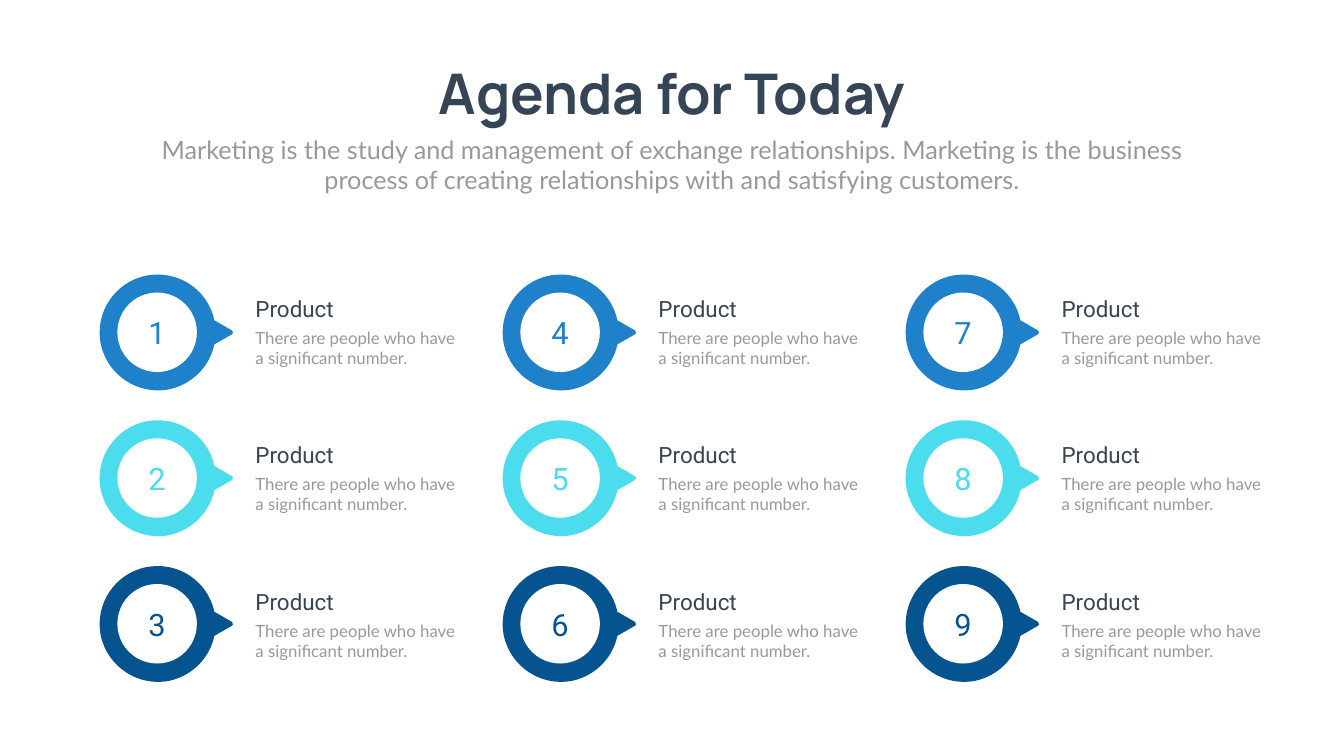
"""Builds the agenda slide: nine numbered pointer rings in a three by three grid."""
from lxml import etree
from pptx import Presentation
from pptx.dml.color import RGBColor
from pptx.enum.shapes import MSO_SHAPE
from pptx.enum.text import MSO_ANCHOR, MSO_AUTO_SIZE, PP_ALIGN
from pptx.oxml.ns import qn
from pptx.util import Pt

OVAL = MSO_SHAPE.OVAL
MIDDLE = MSO_ANCHOR.MIDDLE
GROW = MSO_AUTO_SIZE.SHAPE_TO_FIT_TEXT
LEFT, CENTER = PP_ALIGN.LEFT, PP_ALIGN.CENTER

WHITE = RGBColor(0xFF, 0xFF, 0xFF)
NAVY = RGBColor(0x36, 0x45, 0x56)
GRAY = RGBColor(0x99, 0x99, 0x99)
BLUE = RGBColor(0x1E, 0x81, 0xCA)
CYAN = RGBColor(0x4B, 0xDC, 0xED)
DEEP_BLUE = RGBColor(0x06, 0x54, 0x8F)
ROW_COLORS = (BLUE, CYAN, DEEP_BLUE)

COLUMN_STEP, ROW_STEP, TEXT_STEP = 575.6, 208.2, 209.5
RING_X, RING_Y, RING_WIDTH, RING_HEIGHT = 142.6, 392.6, 190, 165.6
DISC_X, DISC_Y, DISC_SIZE = 167.6, 417.9, 113.6
TEXT_X, HEADING_Y, DETAIL_Y = 357.8, 417.6, 464

RING_OUTLINE = [
    ("a:moveTo", [(188.6, 79.4)]),
    ("a:lnTo", [(163.5, 65)]),
    ("a:cubicBezTo", [(154.1, 20.2), (110.2, -7.9), (65.5, 1.4)]),
    ("a:cubicBezTo", [(20.9, 10.8), (-7.9, 54.7), (1.4, 99.4)]),
    ("a:cubicBezTo", [(11.2, 144), (55.4, 172.8), (100, 163.4)]),
    ("a:cubicBezTo", [(131.8, 156.2), (157, 131), (163.5, 99.4)]),
    ("a:lnTo", [(188.6, 85)]),
    ("a:cubicBezTo", [(190, 84.2), (190.4, 82.1), (189.4, 80.6)]),
    ("a:cubicBezTo", [(189.2, 80.2), (188.9, 79.7), (188.6, 79.4)]),
    ("a:close", []),
]


def style_text(shape, text, font_name, size, color, align=LEFT):
    shape.text_frame.text = text
    para = shape.text_frame.paragraphs[0]
    para.alignment = align
    font = para.runs[0].font
    font.name = font_name
    font.size = Pt(size)
    font.color.rgb = color
    return font


def add_text(left, top, width, height, *style):
    box = slide.shapes.add_textbox(Pt(left), Pt(top), Pt(width), Pt(height))
    box.text_frame.word_wrap = True
    box.text_frame.auto_size = GROW
    return box, style_text(box, *style)


deck = Presentation()
deck.slide_width = Pt(1919.52)
deck.slide_height = Pt(1080)
slide = deck.slides.add_slide(deck.slide_layouts[6])

title, title_font = add_text(584.6, 80.6, 750.2, 104.4, "Agenda for Today", "Manrope", 80, NAVY, CENTER)
title.text_frame.word_wrap = False
title_font.bold = True
add_text(
    210.2, 187.9, 1499, 94.3,
    "Marketing is the study and management of exchange relationships. "
    "Marketing is the business process of creating relationships with and satisfying customers.",
    "Lato", 36, GRAY, CENTER,
)

for column in range(3):
    shift = column * COLUMN_STEP
    for row, color in enumerate(ROW_COLORS):
        drop = row * ROW_STEP
        ring_left, ring_top = RING_X + shift, RING_Y + drop
        builder = slide.shapes.build_freeform(Pt(ring_left), Pt(ring_top))
        builder.add_line_segments([(Pt(ring_left + RING_WIDTH), Pt(ring_top + RING_HEIGHT))])
        ring = builder.convert_to_shape()
        outline = ring._element.find(".//" + qn("a:path"))
        for segment in list(outline):
            outline.remove(segment)
        for tag, points in RING_OUTLINE:
            segment = etree.SubElement(outline, qn(tag))
            for x, y in points:
                etree.SubElement(segment, qn("a:pt"), x=str(int(Pt(x))), y=str(int(Pt(y))))

        disc = slide.shapes.add_shape(
            OVAL, Pt(DISC_X + shift), Pt(DISC_Y + drop), Pt(DISC_SIZE), Pt(DISC_SIZE)
        )
        for shape, fill_color in ((ring, color), (disc, WHITE)):
            shape.shadow.inherit = False
            shape.fill.solid()
            shape.fill.fore_color.rgb = fill_color
            shape.line.fill.background()
        disc.text_frame.vertical_anchor = MIDDLE
        number = column * len(ROW_COLORS) + row + 1
        style_text(disc, str(number), "Roboto", 44, color, CENTER)

        text_x = TEXT_X + shift
        text_drop = row * TEXT_STEP
        add_text(text_x, HEADING_Y + text_drop, 283, 46, "Product", "Roboto", 32, NAVY)
        add_text(
            text_x, DETAIL_Y + text_drop, 314.6, 65.5,
            "There are people who have a significant number.", "Lato", 24, GRAY,
        )

deck.save("out.pptx")
